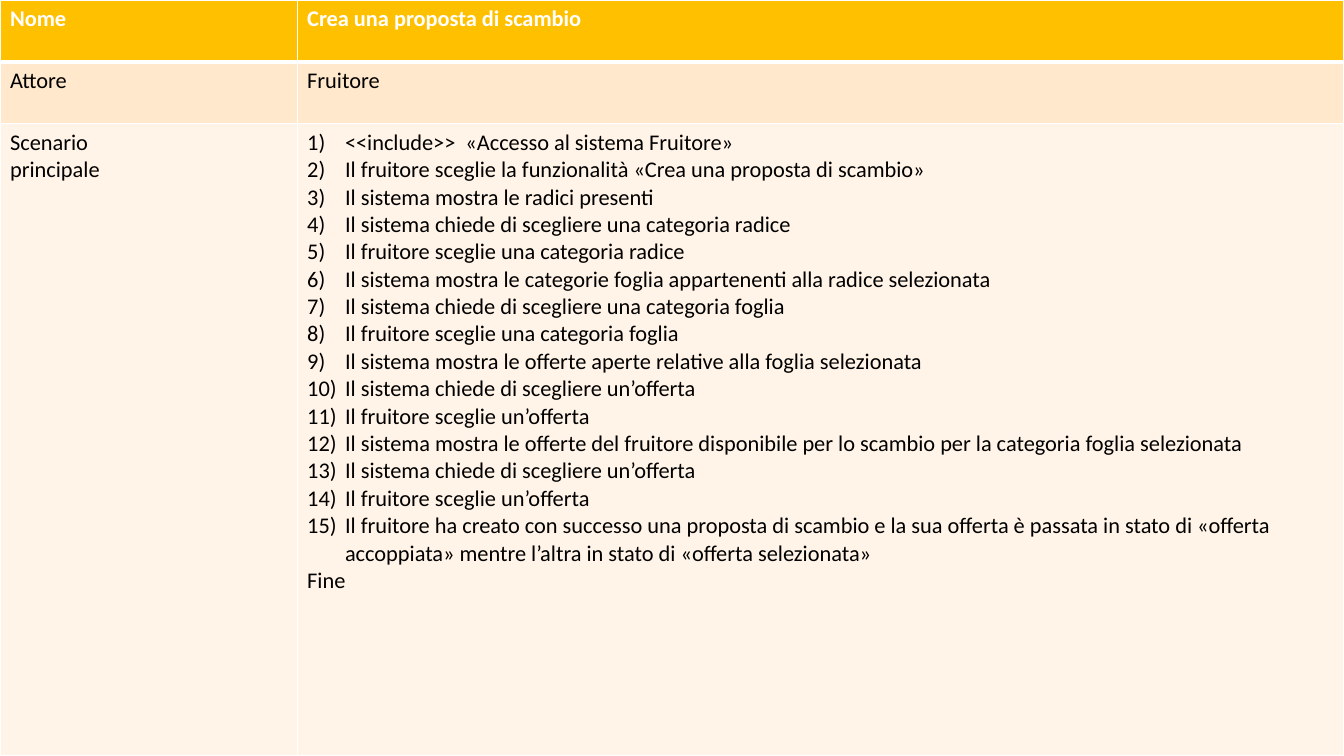
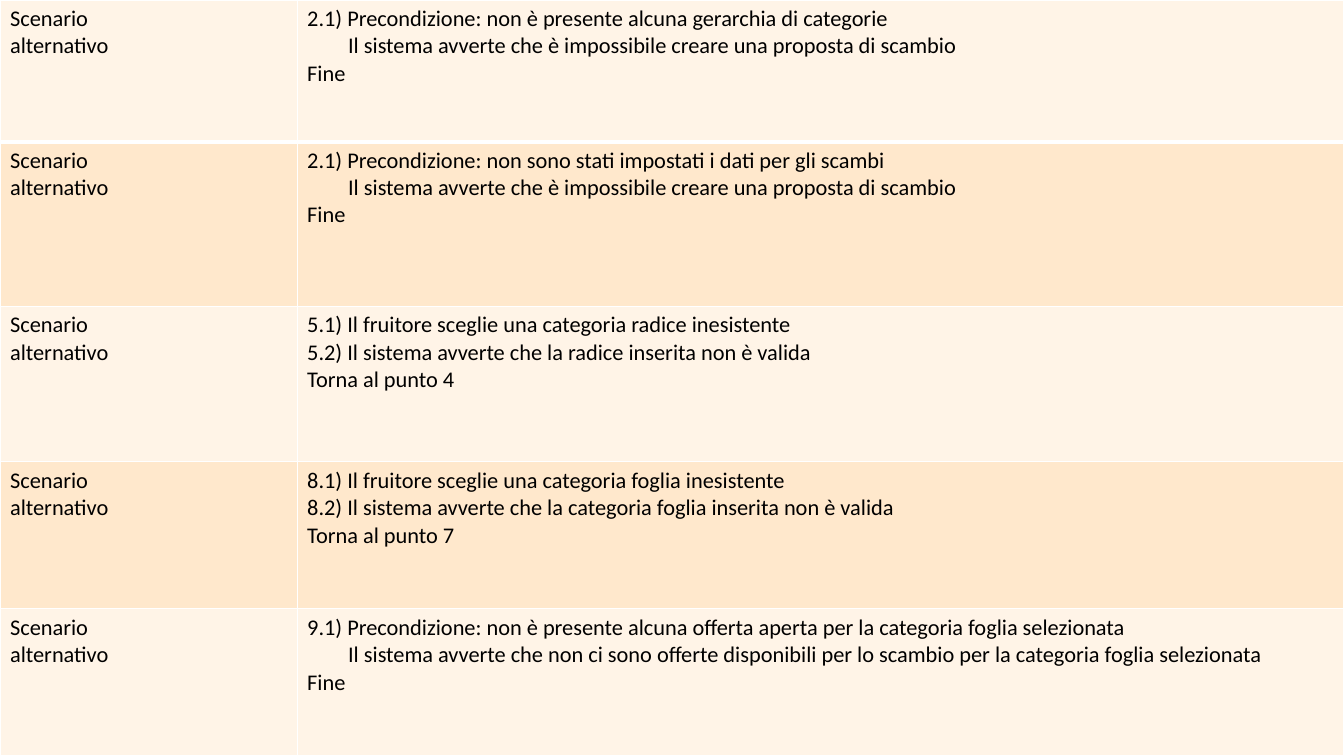
from lxml import etree
from pptx import Presentation
from pptx import util as u
from pptx.dml.color import RGBColor
from pptx.oxml import ns

PX = 9525
WIDTH, HEIGHT = 1280, 720
COLUMNS = (283, 997)
FONT, FONT_SIZE = "Calibri", u.Pt(16)
NUMBER_INDENT, CONTINUATION_INDENT = 36, 39
THIN, THICK = u.Pt(1), u.Pt(3)

WHITE = RGBColor(0xFF, 0xFF, 0xFF)
BLACK = RGBColor(0x00, 0x00, 0x00)
GOLD = RGBColor(0xFF, 0xC0, 0x00)
PEACH = RGBColor(0xFF, 0xE8, 0xCC)
CREAM = RGBColor(0xFF, 0xF4, 0xE7)

PLAIN, NUMBERED, CONTINUED = "plain", "numbered", "continued"

MAIN_STEPS = (
    "<<include>>  «Accesso al sistema Fruitore»",
    "Il fruitore sceglie la funzionalità «Crea una proposta di scambio»",
    "Il sistema mostra le radici presenti",
    "Il sistema chiede di scegliere una categoria radice",
    "Il fruitore sceglie una categoria radice",
    "Il sistema mostra le categorie foglia appartenenti alla radice selezionata",
    "Il sistema chiede di scegliere una categoria foglia",
    "Il fruitore sceglie una categoria foglia",
    "Il sistema mostra le offerte aperte relative alla foglia selezionata",
    "Il sistema chiede di scegliere un’offerta",
    "Il fruitore sceglie un’offerta",
    "Il sistema mostra le offerte del fruitore disponibile per lo scambio "
    "per la categoria foglia selezionata",
    "Il sistema chiede di scegliere un’offerta",
    "Il fruitore sceglie un’offerta",
    "Il fruitore ha creato con successo una proposta di scambio e la sua offerta è passata "
    "in stato di «offerta accoppiata» mentre l’altra in stato di «offerta selezionata»",
)
IMPOSSIBLE = "Il sistema avverte che è impossibile creare una proposta di scambio"
ALTERNATIVES = (
    (135, ("2.1) Precondizione: non è presente alcuna gerarchia di categorie",
           CONTINUED, IMPOSSIBLE, "Fine")),
    (157, ("2.1) Precondizione: non sono stati impostati i dati per gli scambi",
           CONTINUED, IMPOSSIBLE, "Fine")),
    (148, ("5.1) Il fruitore sceglie una categoria radice inesistente",
           PLAIN, "5.2) Il sistema avverte che la radice inserita non è valida",
           "Torna al punto 4")),
    (140, ("8.1) Il fruitore sceglie una categoria foglia inesistente",
           PLAIN, "8.2) Il sistema avverte che la categoria foglia inserita non è valida",
           "Torna al punto 7")),
    (140, ("9.1) Precondizione: non è presente alcuna offerta aperta "
           "per la categoria foglia selezionata",
           CONTINUED, "Il sistema avverte che non ci sono offerte disponibili per lo scambio "
           "per la categoria foglia selezionata", "Fine")),
)


def plain(*texts):
    """Return the texts as unindented lines."""
    return [(value, PLAIN) for value in texts]


def set_indent(paragraph, kind):
    """Indent a paragraph and number it where its kind asks for it."""
    properties = paragraph._p.get_or_add_pPr()
    if kind == NUMBERED:
        properties.set("marL", str(NUMBER_INDENT * PX))
        properties.set("indent", str(-NUMBER_INDENT * PX))
        numbering = etree.SubElement(properties, ns.qn("a:buAutoNum"))
        numbering.set("type", "arabicParenR")
    elif kind == CONTINUED:
        properties.set("marL", str(CONTINUATION_INDENT * PX))
        properties.set("indent", "0")


def set_borders(cell, top, bottom):
    """Draw white borders around a cell."""
    properties = cell._tc.get_or_add_tcPr()
    widths = (("a:lnL", THIN), ("a:lnR", THIN), ("a:lnT", top), ("a:lnB", bottom))
    for position, (tag, width) in enumerate(widths):
        line = etree.Element(ns.qn(tag), w=str(int(width)))
        fill = etree.SubElement(line, ns.qn("a:solidFill"))
        etree.SubElement(fill, ns.qn("a:srgbClr"), val=str(WHITE))
        properties.insert(position, line)


def write_cell(cell, lines, fill, is_header):
    """Fill a cell and write its lines."""
    cell.fill.solid()
    cell.fill.fore_color.rgb = fill
    frame = cell.text_frame
    for index, (value, kind) in enumerate(lines):
        paragraph = frame.add_paragraph() if index else frame.paragraphs[0]
        set_indent(paragraph, kind)
        run = paragraph.add_run()
        run.text = value
        run.font.name, run.font.size = FONT, FONT_SIZE
        run.font.bold = is_header
        run.font.color.rgb = WHITE if is_header else BLACK


def add_scenario_table(slide, box, rows):
    """Place a two-column use case table in the given box."""
    left, top, width, height = (length * PX for length in box)
    table = slide.shapes.add_table(len(rows), len(COLUMNS), left, top, width, height).table
    table.first_row = table.horz_banding = False
    for column, column_width in zip(table.columns, COLUMNS):
        column.width = column_width * PX
    for index, (row_height, fill, *contents) in enumerate(rows):
        table.rows[index].height = row_height * PX
        for cell, lines in zip(table.rows[index].cells, contents):
            write_cell(cell, lines, fill, fill == GOLD)
            set_borders(cell, THICK if index == 1 else THIN, THICK if index == 0 else THIN)


def main_rows():
    """Return the rows that describe the main scenario."""
    steps = [(step, NUMBERED) for step in MAIN_STEPS]
    return [
        (59, GOLD, plain("Nome"), plain("Crea una proposta di scambio")),
        (59, PEACH, plain("Attore"), plain("Fruitore")),
        (602, CREAM, plain("Scenario", "principale"), steps + plain("Fine")),
    ]


def alternative_rows():
    """Return the rows that describe the alternative scenarios."""
    rows = []
    for index, (height, (condition, kind, reaction, ending)) in enumerate(ALTERNATIVES):
        lines = [(condition, PLAIN), (reaction, kind), (ending, PLAIN)]
        fill = PEACH if index % 2 else CREAM
        rows.append((height, fill, plain("Scenario", "alternativo"), lines))
    return rows


def main():
    """Build and save the presentation."""
    presentation = Presentation()
    presentation.slide_width, presentation.slide_height = WIDTH * PX, HEIGHT * PX
    for rows in (main_rows(), alternative_rows()):
        slide = presentation.slides.add_slide(presentation.slide_layouts[6])
        add_scenario_table(slide, (0, 0, WIDTH, HEIGHT), rows)
    presentation.save("out.pptx")


if __name__ == "__main__":
    main()
